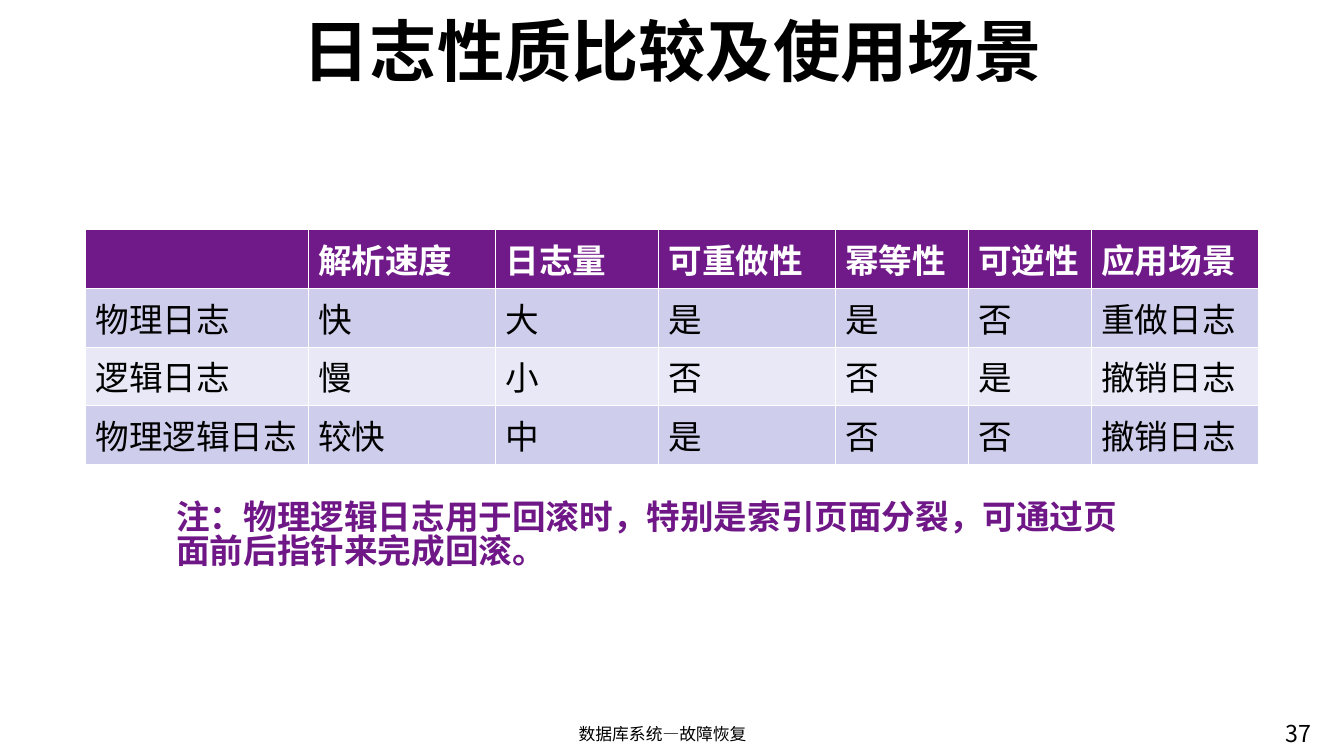
from pptx import Presentation
from pptx.dml.color import RGBColor
from pptx.enum.text import MSO_ANCHOR as Anchor, PP_ALIGN as Align
from pptx.oxml import parse_xml
from pptx.oxml.ns import nsdecls
from pptx.util import Cm, Pt

LOG_TABLE = [
    ["", "解析速度", "日志量", "可重做性", "幂等性", "可逆性", "应用场景"],
    ["物理日志", "快", "大", "是", "是", "否", "重做日志"],
    ["逻辑日志", "慢", "小", "否", "否", "是", "撤销日志"],
    ["物理逻辑日志", "较快", "中", "是", "否", "否", "撤销日志"],
]
COLUMN_WIDTHS = [5.61, 4.72, 4.11, 4.45, 3.35, 3.1, 4.22]


def rgb(color):
    return RGBColor.from_string(color)


class LogSlide:
    FONT = "Noto Sans CJK SC"
    BLACK, WHITE = "000000", "FFFFFF"
    HEADER, NOTE = "701988", "6F1787"
    BANDS = ["CECEEC", "E8E8F6"]

    def __init__(self, prs):
        self.slide = prs.slides.add_slide(prs.slide_layouts[6])

    def format_runs(self, tf, size, color, bold):
        for p in tf.paragraphs:
            for r in p.runs:
                font = r.font
                font.name, font.size, font.bold = self.FONT, Pt(size), bold
                font.color.rgb = rgb(color)
                r._r.get_or_add_rPr().append(parse_xml(
                    f'<a:ea {nsdecls("a")} typeface="{self.FONT}"/>'))

    def text(self, text, box, size, color=BLACK, bold=False,
             align=Align.LEFT, anchor=Anchor.TOP, spacing=0.85):
        sp = self.slide.shapes.add_textbox(*map(Cm, box))
        tf = sp.text_frame
        tf.word_wrap = True
        tf.vertical_anchor = anchor
        tf.text = text
        p = tf.paragraphs[0]
        p.alignment, p.line_spacing = align, spacing
        self.format_runs(tf, size, color, bold)

    def border(self, cell):
        """Draw a thin white line on all four sides of the cell."""
        tc_pr = cell._tc.get_or_add_tcPr()
        for i, side in enumerate("LRTB"):
            tc_pr.insert(i, parse_xml(
                f'<a:ln{side} {nsdecls("a")} w="{Pt(0.5)}"><a:solidFill>'
                f'<a:srgbClr val="{self.WHITE}"/></a:solidFill></a:ln{side}>'))

    def table(self, rows, widths, left, top, row_height):
        frame = self.slide.shapes.add_table(
            len(rows), len(widths), Cm(left), Cm(top),
            Cm(sum(widths)), Cm(row_height * len(rows)))
        table = frame.table
        for column, width in zip(table.columns, widths):
            column.width = Cm(width)
        for i, row in enumerate(rows):
            header = i == 0
            fill = self.HEADER if header else self.BANDS[(i - 1) % 2]
            for j, text in enumerate(row):
                cell = table.cell(i, j)
                cell.text = text
                cell.fill.solid()
                cell.fill.fore_color.rgb = rgb(fill)
                self.border(cell)
                self.format_runs(cell.text_frame, 24,
                                 self.WHITE if header else self.BLACK, header)


def main():
    prs = Presentation()
    prs.slide_width, prs.slide_height = Cm(33.86), Cm(19.05)
    s = LogSlide(prs)
    s.text("37", (32.13, 18.11, 2.13, 1.32), 16.6)
    s.text("日志性质比较及使用场景", (2.92, 0.3, 28.04, 1.88), 48, bold=True,
           align=Align.CENTER, anchor=Anchor.MIDDLE, spacing=1.0)
    s.text("数据库系统—故障恢复", (11.35, 18.19, 10.69, 0.86), 12,
           align=Align.CENTER)
    s.table(LOG_TABLE, COLUMN_WIDTHS, left=2.15, top=5.78, row_height=1.48)
    s.text("注：物理逻辑日志用于回滚时，特别是索引页面分裂，"
           "可通过页面前后指针来完成回滚。",
           (4.19, 12.52, 25.04, 2.31), 24, s.NOTE, bold=True)
    prs.save("out.pptx")


if __name__ == "__main__":
    main()
